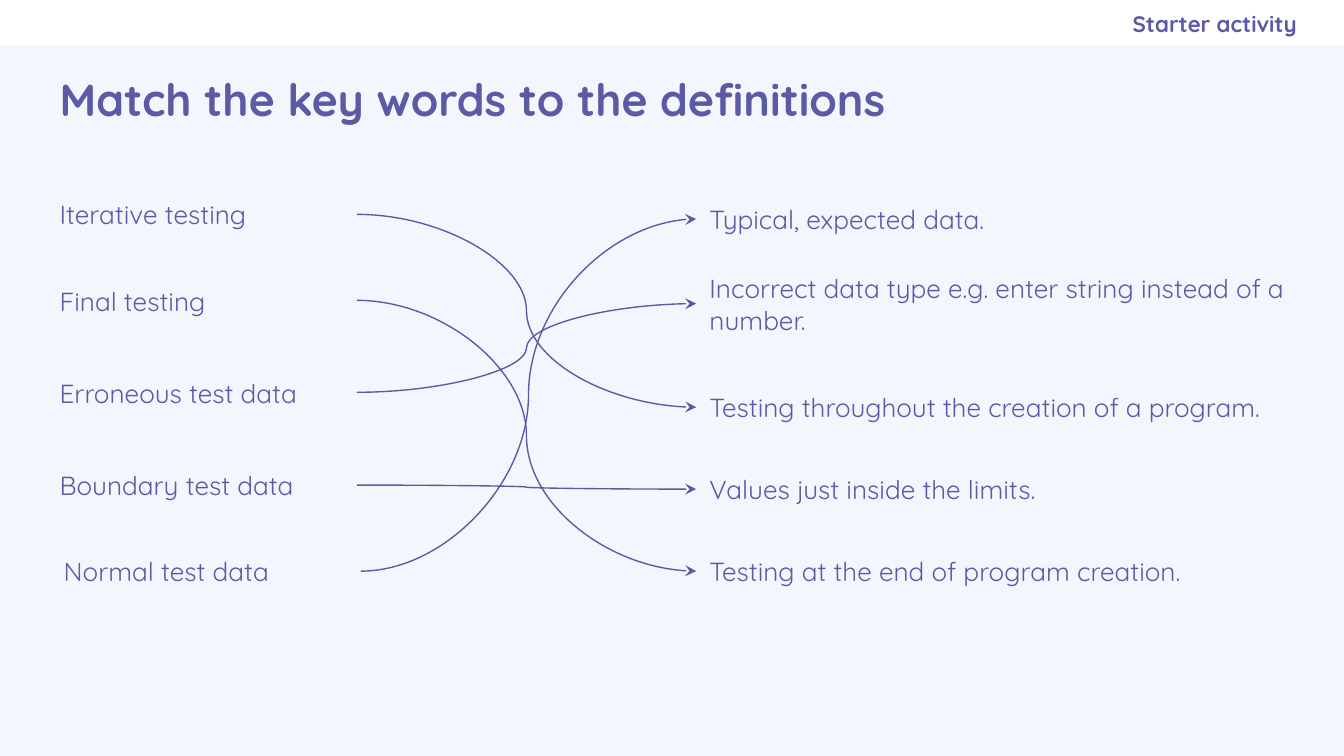
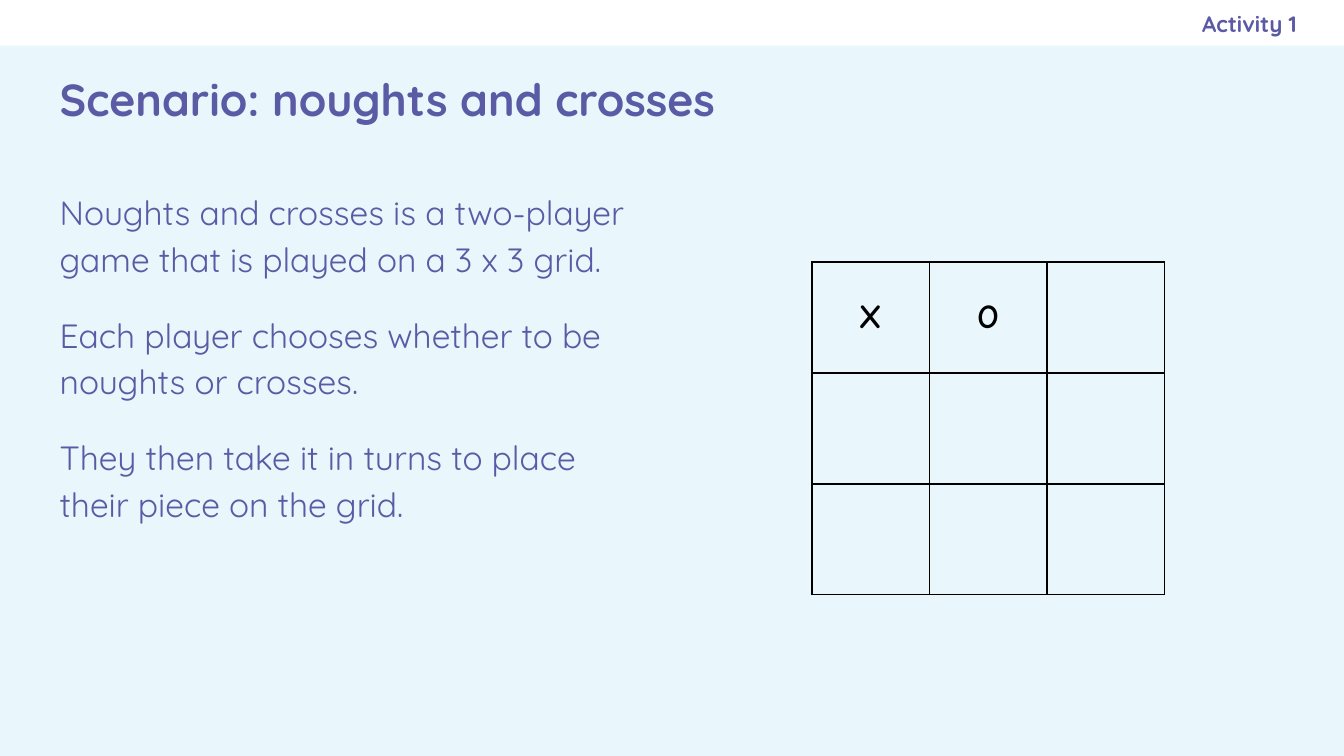
"""Build two lesson slides: a matching starter and a noughts and crosses scenario."""
import lxml.etree
import pptx
import pptx.dml.color
import pptx.enum.shapes
import pptx.enum.text
import pptx.oxml.ns
import pptx.util

PX = 4572
PURPLE = "5B5BA5"
BLACK = "000000"
WHITE = "FFFFFF"
FONT = "Quicksand"
ALIGN = pptx.enum.text.PP_ALIGN
ANCHOR = pptx.enum.text.MSO_ANCHOR
qn = pptx.oxml.ns.qn


def colour(value):
    return pptx.dml.color.RGBColor.from_string(value)


def add_text(page, area, lines, size, bold=False, align=ALIGN.LEFT, anchor=ANCHOR.TOP, right=20):
    box = page.shapes.add_textbox(*(length * PX for length in area))
    frame = box.text_frame
    frame.word_wrap = True
    frame.vertical_anchor = anchor
    frame.margin_left = frame.margin_top = frame.margin_bottom = 20 * PX
    frame.margin_right = right * PX
    frame.text = "\n".join(lines)
    for para in frame.paragraphs:
        para.alignment = align
        para.font.name = FONT
        para.font.size = pptx.util.Pt(size)
        para.font.bold = bold
        para.font.color.rgb = colour(PURPLE)
    return box


deck = pptx.Presentation()
deck.slide_width = 2000 * PX
deck.slide_height = 1125 * PX

pages = []
for background, title, activity in [
    ("F3F6FC", "Match the key words to the definitions", "Starter activity"),
    ("E9F7FC", "Scenario: noughts and crosses", "Activity 1"),
]:
    page = deck.slides.add_slide(deck.slide_layouts[6])
    page.background.fill.solid()
    page.background.fill.fore_color.rgb = colour(background)
    band = page.shapes.add_shape(
        pptx.enum.shapes.MSO_SHAPE.RECTANGLE, 0, 0, deck.slide_width, 68 * PX
    )
    band.shadow.inherit = False
    band.fill.solid()
    band.fill.fore_color.rgb = colour(WHITE)
    band.line.fill.background()
    add_text(page, (69, 71, 1864, 152), [title], 24, bold=True, anchor=ANCHOR.MIDDLE)
    add_text(page, (1150, 0, 780, 69), [activity], 12, bold=True,
             align=ALIGN.RIGHT, anchor=ANCHOR.MIDDLE, right=0)
    pages.append(page)
matching, scenario = pages

keywords = [
    (69, 276, "Iterative testing"),
    (69, 404, "Final testing"),
    (69, 541, "Erroneous test data"),
    (69, 679, "Boundary test data"),
    (75, 807, "Normal test data"),
]
definitions = [
    (563, 86, "Testing throughout the creation of a program."),
    (807, 86, "Testing at the end of program creation."),
    (386, 132, "Incorrect data type e.g. enter string instead of a number."),
    (685, 86, "Values just inside the limits."),
    (283, 86, "Typical, expected data."),
]
keyword_boxes = [
    add_text(matching, (left, top, 462, 86), [text], 14) for left, top, text in keywords
]
definition_boxes = [
    add_text(matching, (1036, top, 922, height), [text], 14) for top, height, text in definitions
]
for keyword, definition in zip(keyword_boxes, definition_boxes):
    arrow = matching.shapes.add_connector(pptx.enum.shapes.MSO_CONNECTOR.CURVE, 0, 0, 0, 0)
    arrow.begin_connect(keyword, 3)
    arrow.end_connect(definition, 1)
    arrow.line.color.rgb = colour(PURPLE)
    arrow.line.width = pptx.util.Pt(0.75)
    lxml.etree.SubElement(arrow.line._get_or_add_ln(), qn("a:tailEnd"), type="stealth")
    lxml.etree.SubElement(arrow._element.spPr, qn("a:effectLst"))

rules = add_text(scenario, (69, 257, 896, 800), [
    "Noughts and crosses is a two-player game that is played on a 3 x 3 grid.",
    "Each player chooses whether to be noughts or crosses.",
    "They then take it in turns to place their piece on the grid.",
], 18)
for index, para in enumerate(rules.text_frame.paragraphs):
    para.line_spacing = 1.15
    if index:
        para.space_before = pptx.util.Pt(16)
para.space_after = pptx.util.Pt(16)

moves = ["XO ", "   ", "   "]
grid = scenario.shapes.add_table(3, 3, 1208 * PX, 390 * PX, 525 * PX, 495 * PX).table
grid.first_row = grid.horz_banding = False
for row, marks in zip(grid.rows, moves):
    for cell, mark in zip(row.cells, marks):
        cell.text = mark.strip()
        cell.vertical_anchor = ANCHOR.MIDDLE
        cell.margin_left = cell.margin_right = cell.margin_top = cell.margin_bottom = 14 * PX
        para = cell.text_frame.paragraphs[0]
        para.alignment = ALIGN.CENTER
        para.font.name = "Comic Neue"
        para.font.size = pptx.util.Pt(18)
        para.font.bold = True
        para.font.color.rgb = colour(BLACK)
        properties = cell._tc.get_or_add_tcPr()
        for side in ("a:lnL", "a:lnR", "a:lnT", "a:lnB"):
            border = lxml.etree.SubElement(properties, qn(side), w=str(pptx.util.Pt(1)))
            fill = lxml.etree.SubElement(border, qn("a:solidFill"))
            lxml.etree.SubElement(fill, qn("a:srgbClr"), val=BLACK)
        cell.fill.background()

deck.save("out.pptx")
